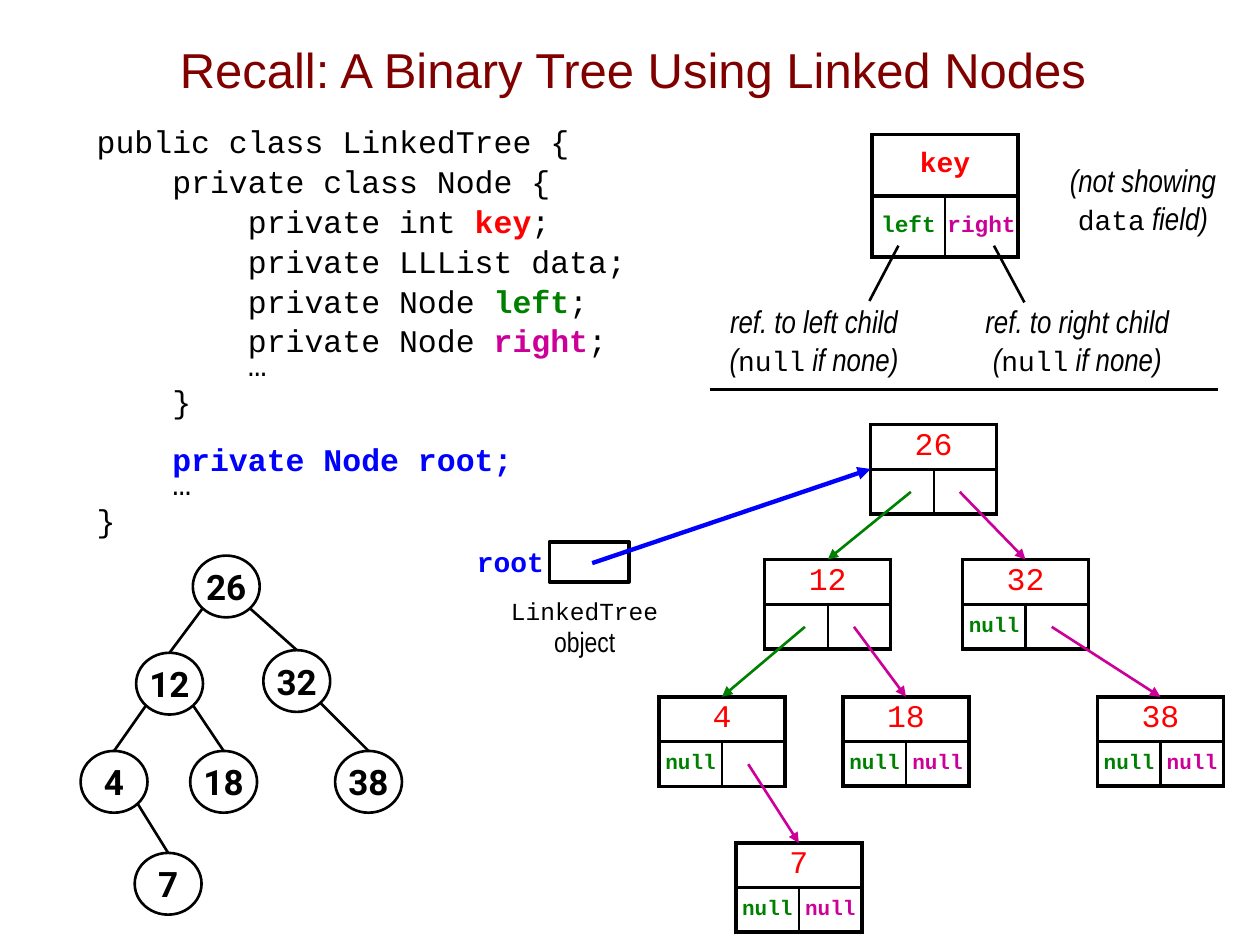
"""Build a slide that shows a binary tree made of linked nodes."""
from lxml.etree import SubElement
from pptx import Presentation
from pptx.dml.color import RGBColor
from pptx.enum.shapes import MSO_CONNECTOR, MSO_SHAPE
from pptx.enum.text import MSO_ANCHOR as Anchor, PP_ALIGN as Align
from pptx.oxml import parse_xml
from pptx.oxml.ns import nsdecls, qn
from pptx.util import Pt

COLORS = {"title": "800000", "black": "000000", "white": "FFFFFF", "key": "FF0000",
          "left": "008000", "right": "CC0099", "root": "0000FF"}
MONO, NARROW = "Courier New", "Arial Narrow"
STYLES = {
    "title": {"name": "Arial", "size": Pt(28)},
    "circle": {"name": "Roboto", "size": Pt(20), "bold": True},
    "code": {"name": MONO, "size": Pt(18)},
    "strong": {"name": MONO, "size": Pt(18), "bold": True},
    "label": {"name": MONO, "size": Pt(16), "bold": True},
    "field": {"name": MONO, "size": Pt(13), "bold": True},
    "null": {"name": MONO, "size": Pt(12), "bold": True},
    "note": {"name": NARROW, "size": Pt(18), "italic": True},
    "word": {"name": MONO, "size": Pt(16)},
    "class": {"name": MONO, "size": Pt(14)},
    "object": {"name": NARROW, "size": Pt(16)},
}


def write_text(frame, lines, align=Align.CENTER):
    for index, line in enumerate(lines):
        paragraph = frame.add_paragraph() if index else frame.paragraphs[0]
        paragraph.alignment = align
        for text, style, color in line:
            run = paragraph.add_run()
            run.text = text
            for name, value in STYLES[style].items():
                setattr(run.font, name, value)
            run.font.color.rgb = RGBColor.from_string(COLORS[color])


def add_line(start, end, color="black", width=1.5, arrow=False):
    line = slide.shapes.add_connector(MSO_CONNECTOR.STRAIGHT, *map(Pt, start + end))
    line.line.color.rgb = RGBColor.from_string(COLORS[color])
    line.line.width = Pt(width)
    if arrow:
        SubElement(line.line._get_or_add_ln(), qn("a:tailEnd"), type="triangle")
    SubElement(line._element.spPr, qn("a:effectLst"))
    return line


presentation = Presentation()
presentation.slide_width, presentation.slide_height = Pt(720), Pt(540)
slide = presentation.slides.add_slide(presentation.slide_layouts[6])

title = slide.shapes.add_textbox(Pt(31), Pt(5.8), Pt(661), Pt(67)).text_frame
title.word_wrap = True
title.vertical_anchor = Anchor.MIDDLE
write_text(title, [[("Recall: A Binary Tree Using Linked Nodes", "title", "title")]])

CODE = [
    (0, 1.2, 1, [("public class LinkedTree {", "code", "black")]),
    (1, 1.2, 1, [("private class Node {", "code", "black")]),
    (2, 1.2, 1, [("private int ", "code", "black"), ("key", "strong", "key"),
                 (";", "code", "black")]),
    (2, 1.2, 1, [("private LLList data;", "code", "black")]),
    (2, 1.2, 1, [("private Node ", "code", "black"), ("left", "strong", "left"),
                 (";", "code", "black")]),
    (2, 1.2, 1, [("private Node ", "code", "black"), ("right", "strong", "right"),
                 (";", "code", "black")]),
    (2, 1.2, 0.5, [("…", "code", "black")]),
    (1, 1.2, 1, [("}", "code", "black")]),
    (1, 11.6, 1, [("private Node root;", "strong", "root")]),
    (1, 1.2, 0.5, [("…", "code", "black")]),
    (0, 1.2, 1, [("}", "code", "black")]),
]
code = slide.shapes.add_textbox(Pt(48.2), Pt(66.2), Pt(340), Pt(240)).text_frame
code.word_wrap = True
write_text(code, [line for *_, line in CODE], Align.LEFT)
for paragraph, (depth, before, spacing, _) in zip(code.paragraphs, CODE):
    paragraph.space_before = Pt(before)
    paragraph.line_spacing = spacing
    paragraph._p.get_or_add_pPr().set("marL", str(Pt(43.2 * depth)))

CIRCLE_WIDTH, CIRCLE_HEIGHT = 38.2, 35.3
CIRCLES = {"26": (110.2, 317.5), "12": (77.8, 373), "32": (150.5, 371.5), "4": (46.1, 429.1),
           "18": (108.7, 429.1), "38": (191.5, 429.1), "7": (77, 487.4)}
EDGES = [("26", "12", "left"), ("26", "32", "right"), ("12", "4", "left"),
         ("12", "18", "right"), ("32", "38", "right"), ("4", "7", "right")]
circles = {}
for key, (left, top) in CIRCLES.items():
    circle = slide.shapes.add_shape(MSO_SHAPE.OVAL, Pt(left), Pt(top),
                                    Pt(CIRCLE_WIDTH), Pt(CIRCLE_HEIGHT))
    circle.shadow.inherit = False
    circle.fill.solid()
    circle.fill.fore_color.rgb = RGBColor.from_string(COLORS["white"])
    circle.line.color.rgb = RGBColor.from_string(COLORS["black"])
    circle.line.width = Pt(1.5)
    frame = circle.text_frame
    for name in ("margin_left", "margin_right", "margin_top", "margin_bottom"):
        setattr(frame, name, 0)
    frame.word_wrap = False
    frame.vertical_anchor = Anchor.MIDDLE
    write_text(frame, [[(key, "circle", "black")]])
    circles[key] = circle
for parent, child, side in EDGES:
    left, top = CIRCLES[parent]
    across = 0.15 if side == "left" else 0.85
    start = (left + across * CIRCLE_WIDTH, top + 0.85 * CIRCLE_HEIGHT)
    add_line(start, start).end_connect(circles[child], 0)

NODE_WIDTH, ROW_HEIGHT = 72, 25.4
NODES = {"26": (497.5, 242.6), "12": (437, 319.7), "32": (550, 319.7), "4": (376.6, 398.2),
         "18": (481.7, 398.2), "38": (627.1, 398.2), "7": (420.5, 481.7)}
linked = {(parent, side) for parent, _, side in EDGES}
tables = [((498.2, 77), 83.6, 35, ("key", "label"), ("left", "right"), "field")]
for key, place in NODES.items():
    fields = ["" if (key, side) in linked else "null" for side in ("left", "right")]
    tables.append((place, NODE_WIDTH, ROW_HEIGHT, (key, "code"), fields, "null"))
for (left, top), width, height, (key, key_style), fields, field_style in tables:
    table = slide.shapes.add_table(2, 2, Pt(left), Pt(top), Pt(width), Pt(2 * height)).table
    table.first_row = table.horz_banding = False
    for line in (*table.columns, *table.rows):
        setattr(line, "width" if line in list(table.columns) else "height", line.width
                if hasattr(line, "width") else line.height)
    table.cell(0, 0).merge(table.cell(0, 1))
    texts = [(key, key_style, "key"), ("", key_style, "key"),
             (fields[0], field_style, "left"), (fields[1], field_style, "right")]
    for index, (cell, text) in enumerate(zip(table.iter_cells(), texts)):
        cell.margin_left = cell.margin_right = 0
        cell.margin_top = cell.margin_bottom = Pt(2)
        cell.vertical_anchor = Anchor.MIDDLE
        cell.fill.background()
        if text[0]:
            write_text(cell.text_frame, [[text]])
        inner = {2: "R", 3: "L"}.get(index)
        for position, edge in enumerate("LRTB"):
            border = parse_xml(
                f'<a:ln{edge} {nsdecls("a")} w="{Pt(1.5 if edge == inner else 2.25)}">'
                f'<a:solidFill><a:srgbClr val="{COLORS["black"]}"/></a:solidFill></a:ln{edge}>')
            cell._tc.get_or_add_tcPr().insert(position, border)

for parent, child, side in EDGES:
    left, top = NODES[parent]
    child_left, child_top = NODES[child]
    across = 23 if side == "left" else 51
    add_line((left + across, top + 38.5), (child_left + NODE_WIDTH / 2, child_top),
             side, arrow=True)

add_line((496.8, 172), (513.4, 140.4))
add_line((585.4, 172.8), (568, 140.4))
add_line((406, 222.5), (696.2, 222.5))

root_box = slide.shapes.add_shape(MSO_SHAPE.RECTANGLE, Pt(314), Pt(309.6), Pt(45.4), Pt(23))
root_box.shadow.inherit = False
root_box.fill.background()
root_box.line.color.rgb = RGBColor.from_string(COLORS["black"])
root_box.line.width = Pt(2)
root_left, root_top = NODES["26"]
add_line((338.4, 321.8), (root_left, root_top + ROW_HEIGHT), "root", 2.5, True)

if_none = [("(", "note", "black"), ("null", "word", "black"), (" if none)", "note", "black")]
NOTES = [
    (409, 169.2, 112.3, 51, [[("ref. to left child", "note", "black")], if_none]),
    (555.1, 169.2, 121, 51, [[("ref. to right child", "note", "black")], if_none]),
    (603.4, 88.6, 99.4, 51, [[("(not showing", "note", "black")],
                             [("data", "word", "black"), (" field)", "note", "black")]]),
    (265, 307.4, 53.3, 26.6, [[("root", "label", "root")]]),
    (283, 334.8, 102.2, 45.4, [[("LinkedTree", "class", "black")],
                               [("object", "object", "black")]]),
]
for left, top, width, height, lines in NOTES:
    frame = slide.shapes.add_textbox(Pt(left), Pt(top), Pt(width), Pt(height)).text_frame
    frame.word_wrap = False
    write_text(frame, lines)
for paragraph in frame.paragraphs:
    paragraph.line_spacing = Pt(19)

presentation.save("out.pptx")
